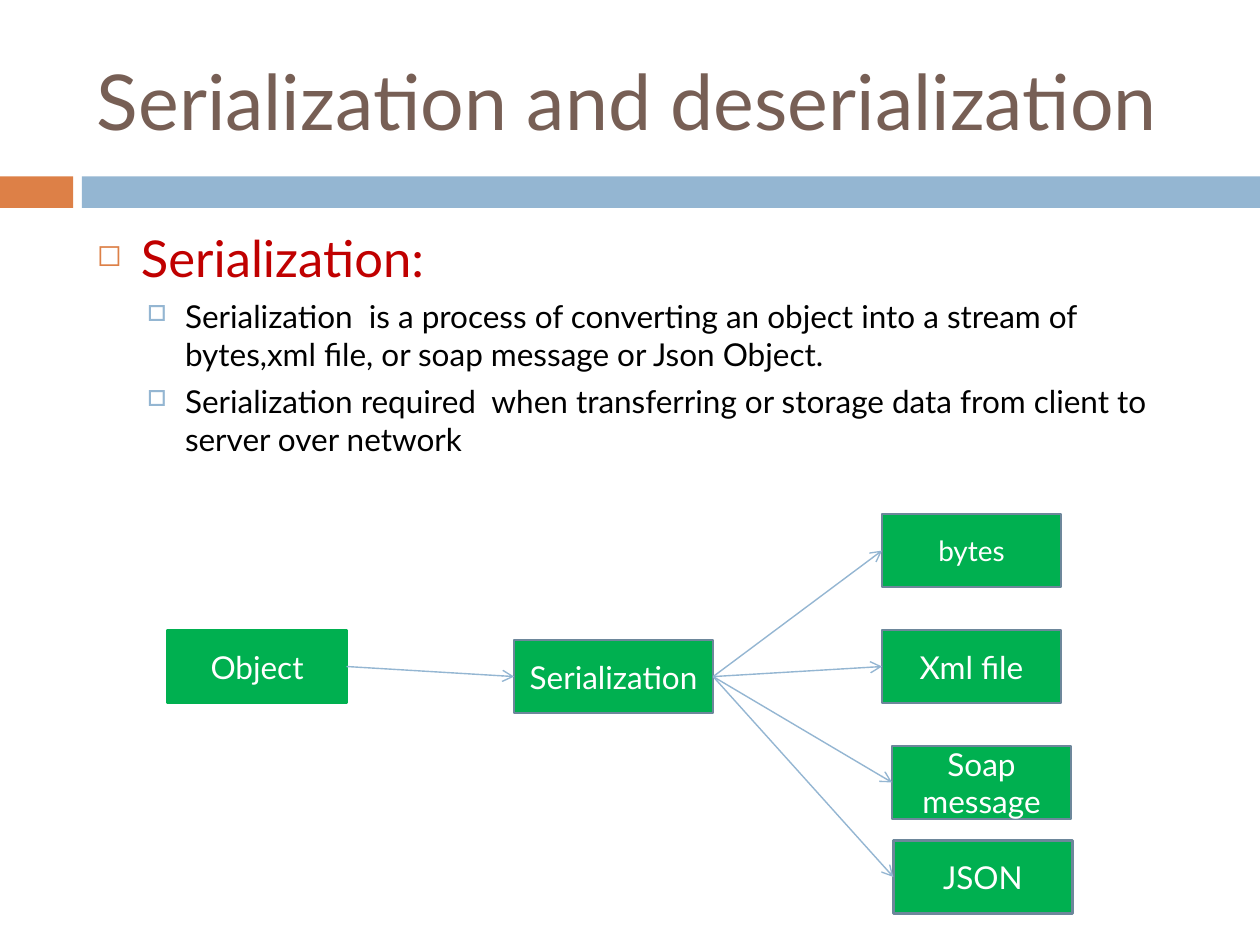
import pptx
import pptx.util
import pptx.dml.color
import pptx.enum.shapes
import pptx.enum.text
import pptx.oxml
import pptx.oxml.ns
from lxml import etree

Inches = pptx.util.Inches
Pt = pptx.util.Pt
ALIGN = pptx.enum.text.PP_ALIGN
ANCHOR = pptx.enum.text.MSO_ANCHOR

COLORS = {
    "orange": "DD8047", "blue": "94B6D2", "brown": "775F55",
    "red": "C00000", "black": "000000", "white": "FFFFFF",
    "green": "00B050", "edge": "6D879B",
}


def rgb(name):
    return pptx.dml.color.RGBColor.from_string(COLORS[name])


def add(parent, tag, **attrs):
    node = etree.SubElement(parent, pptx.oxml.ns.qn(tag))
    for key, value in attrs.items():
        node.set(key, str(value))
    return node


def write(para, text, size=18, color="black", font="Lato", align=ALIGN.LEFT,
          before=0, left=0, hang=0, level=0, bullet=None):
    """Fill a paragraph; bullet is (sign, color, percent)."""
    para.alignment = align
    para.space_before = Pt(before)
    para.level = level
    run = para.add_run()
    run.text = text
    run.font.size = Pt(size)
    run.font.name = font
    run.font.color.rgb = rgb(color)
    if bullet:
        sign, tint, scale = bullet
        props = para._p.get_or_add_pPr()
        props.set("marL", str(Inches(left)))
        props.set("indent", str(-Inches(hang)))
        add(add(props, "a:buClr"), "a:srgbClr", val=COLORS[tint])
        add(props, "a:buSzPct", val=scale * 1000)
        add(props, "a:buChar", char=sign)


class Deck:
    def __init__(self, width, height):
        self.show = pptx.Presentation()
        self.show.slide_width = Inches(width)
        self.show.slide_height = Inches(height)
        self.slide = self.show.slides.add_slide(self.show.slide_layouts[6])
        self.edge = 1.5
        self.thin = 0.79

    def rect(self, x, y, w, h, fill, line=None):
        shape = self.slide.shapes.add_shape(
            pptx.enum.shapes.MSO_SHAPE.RECTANGLE,
            Inches(x), Inches(y), Inches(w), Inches(h))
        shape.shadow.inherit = False
        shape.fill.solid()
        shape.fill.fore_color.rgb = rgb(fill)
        if line:
            shape.line.color.rgb = rgb(line)
            shape.line.width = Pt(self.edge)
        else:
            shape.line.fill.background()
        return shape

    def box(self, text, x, y, w=1.42, size=18, line="edge"):
        shape = self.rect(x, y, w, 0.58, "green", line)
        frame = shape.text_frame
        frame.word_wrap = True
        frame.vertical_anchor = ANCHOR.MIDDLE
        write(frame.paragraphs[0], text, size=size, color="white",
              align=ALIGN.CENTER)
        return shape

    def text(self, x, y, w, h, items, anchor=ANCHOR.TOP):
        frame = self.slide.shapes.add_textbox(
            Inches(x), Inches(y), Inches(w), Inches(h)).text_frame
        frame.word_wrap = True
        frame.vertical_anchor = anchor
        for i, (words, style) in enumerate(items):
            para = frame.add_paragraph() if i else frame.paragraphs[0]
            write(para, words, **style)

    def arrow(self, start, end):
        """Join the right side of start to the left side of end."""
        link = self.slide.shapes.add_connector(
            pptx.enum.shapes.MSO_CONNECTOR.STRAIGHT, 0, 0, 0, 0)
        link.begin_connect(start, 3)
        link.end_connect(end, 1)
        link.line.color.rgb = rgb("blue")
        link.line.width = Pt(self.thin)
        add(link.line._get_or_add_ln(), "a:tailEnd", type="arrow")
        add(link._element.spPr, "a:effectLst")


deck = Deck(10, 7.5)

# Band under the title
deck.rect(0, 1.4, 0.58, 0.25, "orange")
deck.rect(0.65, 1.4, 9.35, 0.25, "blue")

# Title and body
deck.text(0.67, 0.25, 8.92, 1.08,
          [("Serialization and deserialization",
            dict(size=44, color="brown"))], ANCHOR.MIDDLE)
head = dict(size=29, color="red", before=7, left=0.35, hang=0.35,
            bullet=("\u25fb", "orange", 60))
point = dict(before=5.5, left=0.7, hang=0.3, level=1,
             bullet=("\u25a1", "blue", 70))
deck.text(0.67, 1.75, 8.92, 4.92, [
    ("Serialization:", head),
    ("Serialization  is a process of converting an object into a stream of "
     "bytes,xml file, or soap message or Json Object.", point),
    ("Serialization required  when transferring or storage data from client "
     "to server over network", point),
])

# Flow from the object to each format
source = deck.box("Object", 1.33, 5, line="green")
hub = deck.box("Serialization", 4.08, 5.08, w=1.58)
deck.arrow(source, hub)
for name, x, y, size in [("bytes", 7, 4.08, 16), ("Xml file", 7, 5, 18),
                         ("Soap message", 7.08, 5.92, 18),
                         ("JSON", 7.09, 6.67, 18)]:
    deck.arrow(hub, deck.box(name, x, y, size=size))

deck.show.save("out.pptx")
